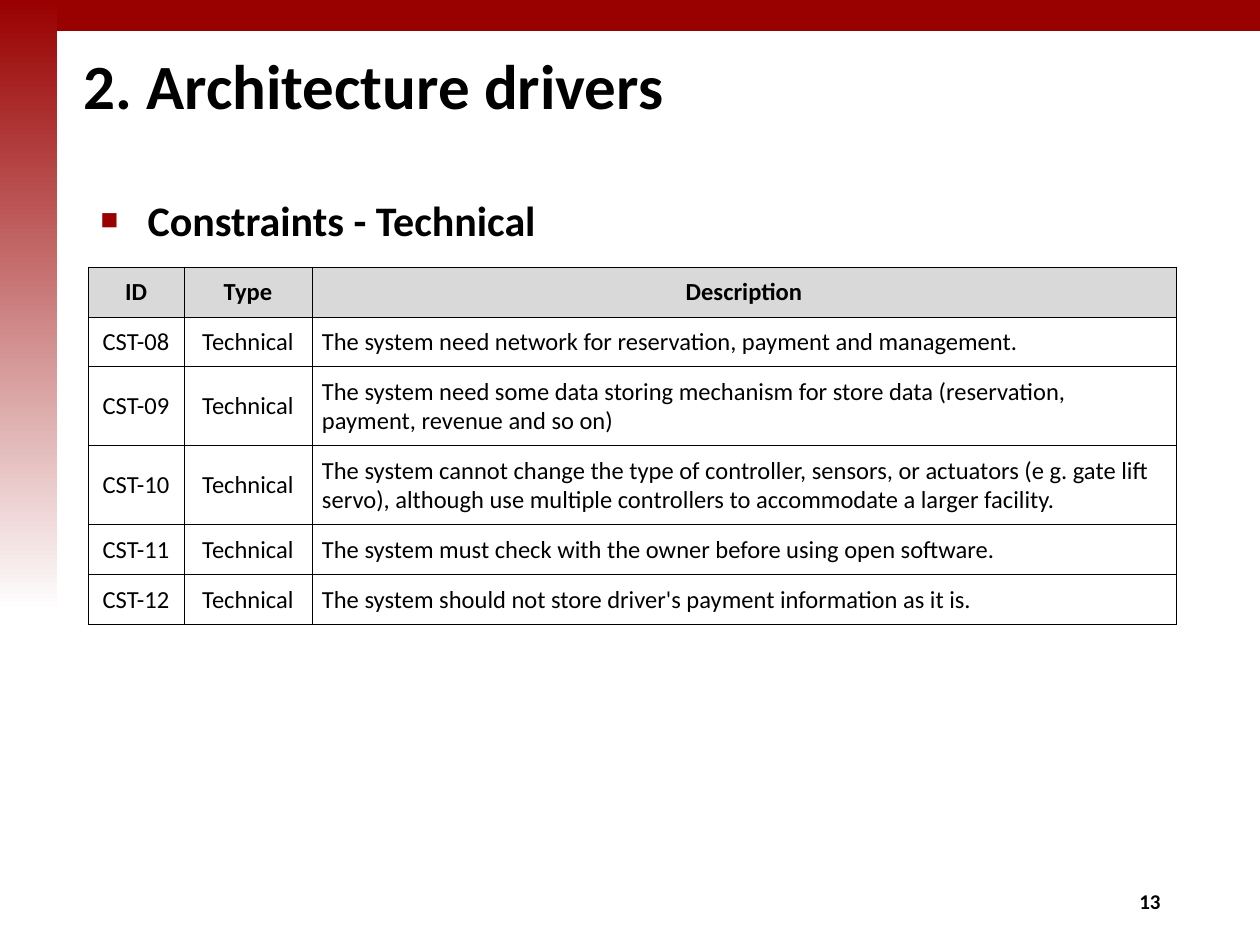
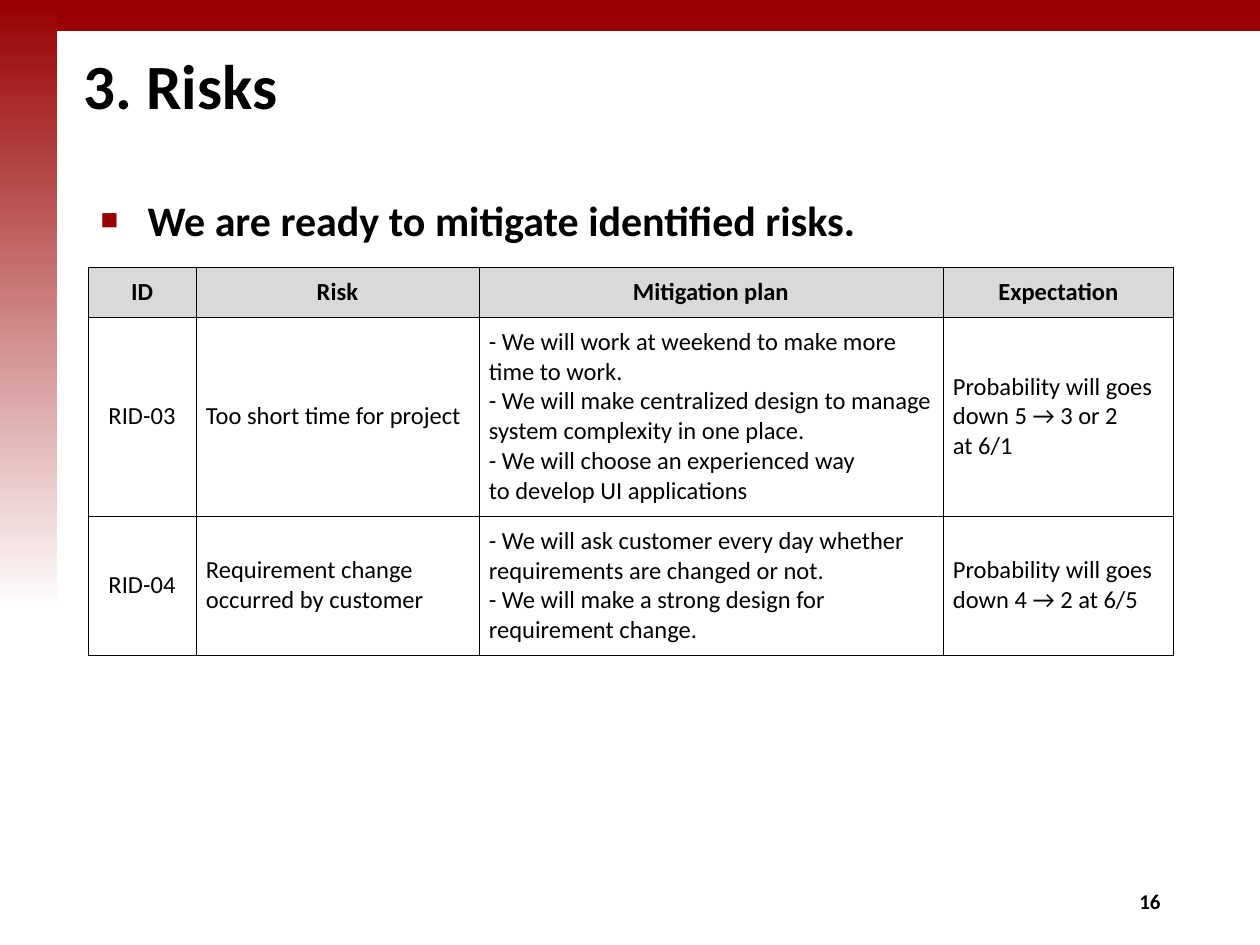
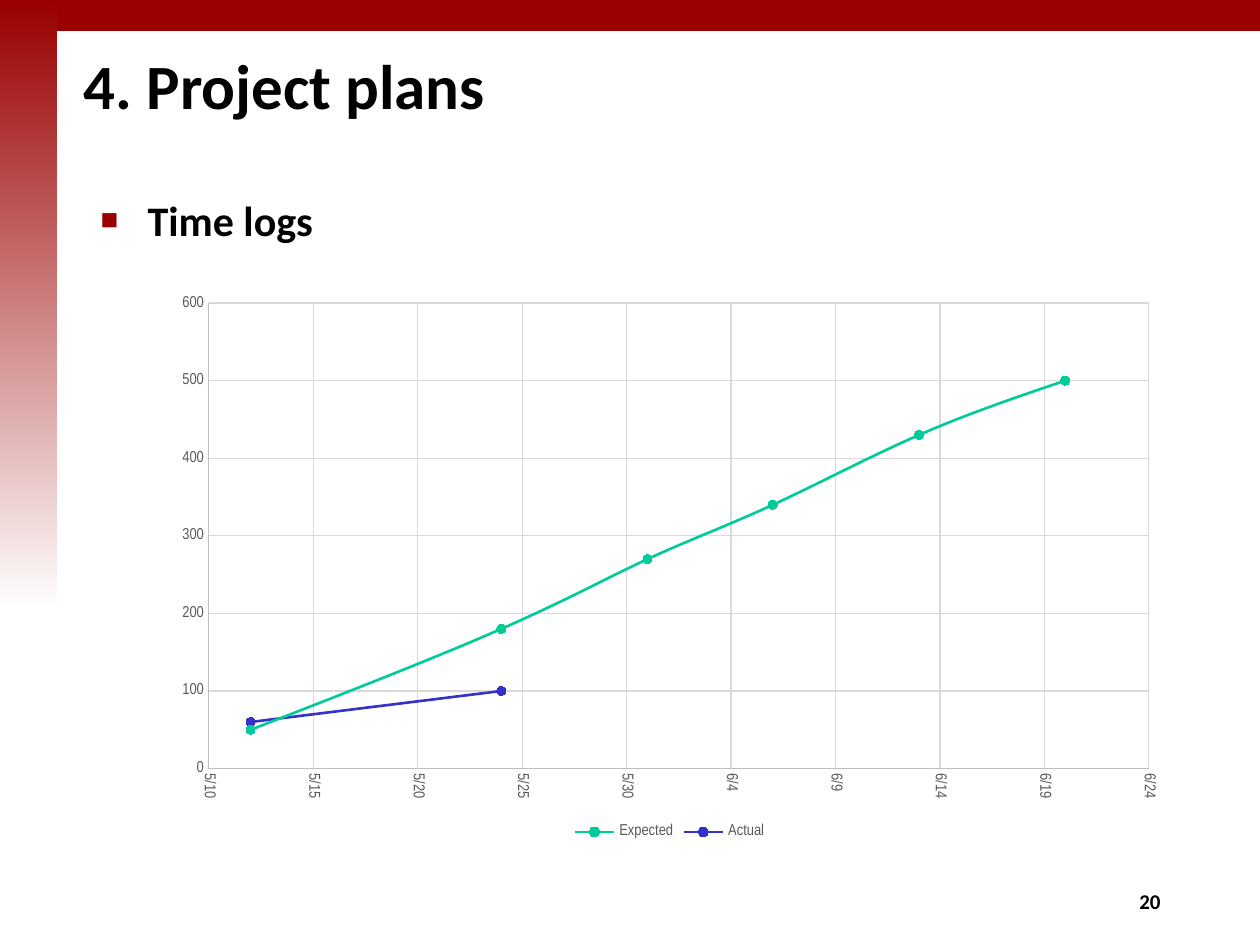
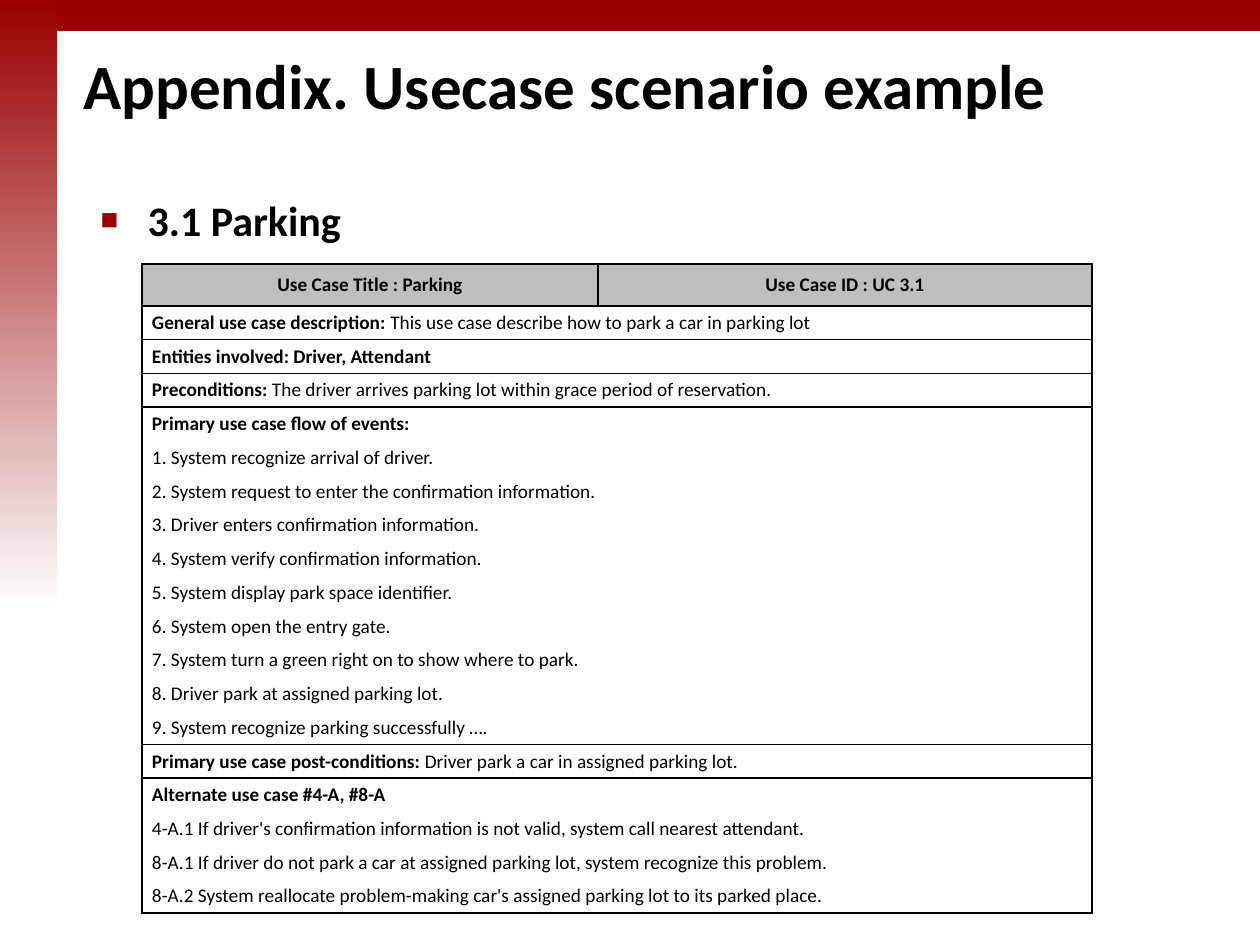
"""Build four project review slides with shared bands, titles, tables and a chart."""
from lxml.etree import SubElement
from pptx import Presentation
from pptx.chart.data import XyChartData
from pptx.dml.color import RGBColor
from pptx.enum.chart import XL_CHART_TYPE as ChartType, XL_LEGEND_POSITION as LegendSpot
from pptx.enum.chart import XL_MARKER_STYLE as Marker, XL_TICK_MARK as Tick
from pptx.enum.shapes import MSO_SHAPE as Preset
from pptx.enum.text import MSO_ANCHOR as Anchor, MSO_AUTO_SIZE as AutoSize, PP_ALIGN as Align
from pptx.oxml.ns import qn
from pptx.util import Emu, Pt

RED, BLACK, WHITE = "990000", "000000", "FFFFFF"
HEADER_GREY, USE_CASE_GREY = "D9D9D9", "BFBFBF"
AXIS_TEXT, AXIS_LINE, GRID_LINE = "595959", "BFBFBF", "D9D9D9"
BODY_FONT, CHART_FONT = "Calibri", "Arial Narrow"


def px(length):
    return Emu(round(length * 914400 / 126))


def rgb(code):
    return RGBColor.from_string(code)


def apply(target, **values):
    for key, value in values.items():
        setattr(target, key, value)


def place(target, left, top, width, height):
    apply(target, left=px(left), top=px(top), width=px(width), height=px(height))


def style_font(font, size, bold=False, color=BLACK, name=BODY_FONT):
    apply(font, size=Pt(size), bold=bold, name=name)
    font.color.rgb = rgb(color)


def style_line(line, color, width):
    line.color.rgb = rgb(color)
    line.width = Pt(width)


class Deck:
    """Holds the presentation, its shared style and the current slide."""

    def __init__(self):
        self.prs = Presentation()
        apply(self.prs, slide_width=px(1260), slide_height=px(945))
        self.slide = None

    def add_slide(self, title, heading, number=None):
        first = self.slide is None
        self.slide = self.prs.slides.add_slide(self.prs.slide_layouts[1])
        if first:
            self.add_master_bands()
        self.add_title(title)
        self.add_heading(heading)
        if number:
            self.add_page_number(number)

    def add_master_bands(self):
        top_band = self.add_band(1260, 31)
        top_band.fill.solid()
        top_band.fill.fore_color.rgb = rgb(RED)
        side_band = self.add_band(57, 612)
        side_band.fill.gradient()
        side_band.fill.gradient_angle = 270
        for stop, color, position in zip(side_band.fill.gradient_stops, (RED, WHITE), (0, 1)):
            stop.color.rgb = rgb(color)
            stop.position = position
        master_tree = self.prs.slide_master.shapes.element
        for index, band in enumerate((top_band, side_band), 2):
            master_tree.insert(index, band.element)

    def add_band(self, width, height):
        band = self.slide.shapes.add_shape(Preset.RECTANGLE, 0, 0, px(width), px(height))
        band.shadow.inherit = False
        band.line.fill.background()
        return band

    def write_placeholder(self, holder, text, size, indent, hanging=0):
        frame = holder.text_frame
        frame.text = text
        apply(frame, word_wrap=True, auto_size=AutoSize.NONE)
        paragraph = frame.paragraphs[0]
        apply(paragraph, alignment=Align.LEFT, space_before=Pt(0))
        props = paragraph._p.get_or_add_pPr()
        props.set("marL", str(px(indent)))
        props.set("indent", str(px(-hanging)))
        style_font(paragraph.runs[0].font, size, True)
        return props

    def add_title(self, text):
        title = self.slide.shapes.title
        place(title, 54, 32, 1206, 105)
        self.write_placeholder(title, text, 36, 17)
        title.text_frame.vertical_anchor = Anchor.MIDDLE

    def add_heading(self, text):
        body = self.slide.placeholders[1]
        place(body, 88, 188, 1088, 685)
        props = self.write_placeholder(body, text, 24, 47, 47)
        body.text_frame.vertical_anchor = Anchor.TOP
        SubElement(SubElement(props, qn("a:buClr")), qn("a:srgbClr"), val=RED)
        SubElement(props, qn("a:buSzPct"), val="70000")
        SubElement(props, qn("a:buFont"), typeface="Arial")
        SubElement(props, qn("a:buChar"), char="■")

    def add_page_number(self, number):
        box = self.slide.shapes.add_textbox(px(890), px(876), px(283), px(50))
        apply(box.text_frame, word_wrap=True, vertical_anchor=Anchor.MIDDLE)
        paragraph = box.text_frame.paragraphs[0]
        paragraph.alignment = Align.RIGHT
        run = paragraph.add_run()
        run.text = str(number)
        style_font(run.font, 12, True)

    def add_table(self, left, top, widths, heights, rows, size, centred, inset,
                  border, header_fill, body_fill=None, joined=(), text_right=10):
        """Draw a grid; rows in joined share one outlined block with the row above."""
        table = self.slide.shapes.add_table(
            len(rows), len(widths), px(left), px(top), px(sum(widths)), px(sum(heights))).table
        table.horz_banding = False
        for column, width in zip(table.columns, widths):
            column.width = px(width)
        for index, (row, height) in enumerate(zip(rows, heights)):
            table.rows[index].height = px(height)
            if len(row) < len(widths):
                table.cell(index, 0).merge(table.cell(index, len(widths) - 1))
            edges = "LR" + "T" * (index not in joined) + "B" * (index + 1 not in joined)
            fill = body_fill if index else header_fill
            for col in range(len(widths)):
                cell = table.cell(index, col)
                is_centred = index == 0 or col < centred
                apply(cell, vertical_anchor=Anchor.MIDDLE, margin_left=px(10),
                      margin_right=px(10 if is_centred else text_right),
                      margin_top=px(inset), margin_bottom=px(inset))
                self.fill_cell(cell, fill)
                self.outline_cell(cell, edges, border)
                if col < len(row):
                    text = row[col] if index else row[col] + "|"
                    self.write_cell(cell, text, size, Align.CENTER if is_centred else Align.LEFT)

    def fill_cell(self, cell, color):
        if color:
            cell.fill.solid()
            cell.fill.fore_color.rgb = rgb(color)
        else:
            cell.fill.background()

    def outline_cell(self, cell, edges, width):
        props = cell._tc.get_or_add_tcPr()
        for index, edge in enumerate("LRTB"):
            line = SubElement(props, qn(f"a:ln{edge}"), w=str(Pt(width)))
            if edge in edges:
                SubElement(SubElement(line, qn("a:solidFill")), qn("a:srgbClr"), val=BLACK)
            else:
                SubElement(line, qn("a:noFill"))
            props.insert(index, line)

    def write_cell(self, cell, text, size, align):
        """Write paragraphs split by newline, line breaks by \\v, bold lead before a bar."""
        frame = cell.text_frame
        for index, content in enumerate(text.split("\n")):
            paragraph = frame.add_paragraph() if index else frame.paragraphs[0]
            paragraph.alignment = align
            for number, line in enumerate(content.split("\v")):
                if number:
                    paragraph.add_line_break()
                lead, _, rest = line.rpartition("|")
                for part, bold in ((lead, True), (rest, False)):
                    if part:
                        run = paragraph.add_run()
                        run.text = part
                        style_font(run.font, size, bold)
            for line_break in paragraph._p.iter(qn("a:br")):
                SubElement(line_break, qn("a:rPr"), sz=str(size * 100))

    def add_smooth_chart(self, box, series, x_axis, y_axis):
        data = XyChartData()
        for name, _, points in series:
            entry = data.add_series(name)
            for x, y in points:
                entry.add_data_point(x, y)
        chart = self.slide.shapes.add_chart(
            ChartType.XY_SCATTER_SMOOTH, *map(px, box), data).chart
        apply(chart, has_title=False, has_legend=True)
        style_font(chart.font, 10, name=CHART_FONT)
        apply(chart.legend, position=LegendSpot.BOTTOM, include_in_layout=False)
        style_font(chart.legend.font, 9, color=AXIS_TEXT, name=CHART_FONT)
        plot = chart.plots[0]
        plot.vary_by_categories = False
        for drawn, (_, color, _) in zip(plot.series, series):
            drawn._element.find(qn("c:smooth")).set("val", "1")
            style_line(drawn.format.line, color, 1.5)
            apply(drawn.marker, style=Marker.CIRCLE, size=5)
            drawn.marker.format.fill.solid()
            drawn.marker.format.fill.fore_color.rgb = rgb(color)
            style_line(drawn.marker.format.line, color, 0.75)
        self.style_axis(chart.category_axis, *x_axis)
        self.style_axis(chart.value_axis, *y_axis)
        labels = chart.category_axis._element.find(qn("c:txPr")).find(qn("a:bodyPr"))
        labels.set("rot", "5400000")
        labels.set("vert", "horz")

    def style_axis(self, axis, low, high, step, number_format):
        apply(axis, minimum_scale=low, maximum_scale=high, major_unit=step,
              has_major_gridlines=True, major_tick_mark=Tick.NONE, minor_tick_mark=Tick.NONE)
        apply(axis.tick_labels, number_format=number_format, number_format_is_linked=False)
        style_font(axis.tick_labels.font, 9, color=AXIS_TEXT, name=CHART_FONT)
        style_line(axis.format.line, AXIS_LINE, 0.75)
        style_line(axis.major_gridlines.format.line, GRID_LINE, 0.75)


GRID_STYLE = dict(left=88, top=267, size=14, inset=10, border=0.5, header_fill=HEADER_GREY)

CONSTRAINTS = [
    "The system need network for reservation, payment and management.",
    "The system need some data storing mechanism for store data (reservation, "
    "payment, revenue and so on)",
    "The system cannot change the type of controller, sensors, or actuators (e g. gate lift\n"
    "servo), although use multiple controllers to accommodate a larger facility.",
    "The system must check with the owner before using open software.",
    "The system should not store driver's payment information as it is.",
]

RISKS = [
    ("ID", "Risk", "Mitigation plan", "Expectation"),
    ("RID-03", "Too short time for project",
     "- We will work at weekend to make more time to work.\n"
     "- We will make centralized design to manage system complexity in one place.\n"
     "- We will choose an experienced way\vto develop UI applications",
     "Probability will goes down 5 → 3 or 2\vat 6/1"),
    ("RID-04", "Requirement change\noccurred by customer",
     "- We will ask customer every day whether\vrequirements are changed or not.\n"
     "- We will make a strong design for\vrequirement change.",
     "Probability will goes down 4 → 2 at 6/5"),
]

MAY_10 = 42865
LOG_DAYS = [MAY_10 + offset for offset in (2, 14, 21, 27, 34, 41)]
TIME_LOGS = [
    ("Expected", "00CC99", list(zip(LOG_DAYS, (50, 180, 270, 340, 430, 500)))),
    ("Actual", "3333CC", list(zip(LOG_DAYS, (60, 100)))),
]

USE_CASE = [
    ("Use Case Title : Parking", "Use Case ID : UC 3.1"),
    ("General use case description: |This use case describe how to park a car in parking lot",),
    ("Entities involved: Driver, Attendant|",),
    ("Preconditions: |The driver arrives parking lot within grace period of reservation.",),
    ("Primary use case flow of events:|",),
    ("1. System recognize arrival of driver.",),
    ("2. System request to enter the confirmation information.",),
    ("3. Driver enters confirmation information.",),
    ("4. System verify confirmation information.",),
    ("5. System display park space identifier.",),
    ("6. System open the entry gate.",),
    ("7. System turn a green right on to show where to park.",),
    ("8. Driver park at assigned parking lot.",),
    ("9. System recognize parking successfully ….",),
    ("Primary use case post-conditions: |Driver park a car in assigned parking lot.",),
    ("Alternate use case #4-A, #8-A|",),
    ("4-A.1 If driver's confirmation information is not valid, system call nearest attendant.",),
    ("8-A.1 If driver do not park a car at assigned parking lot, system recognize this problem.",),
    ("8-A.2 System reallocate problem-making car's assigned parking lot to its parked place.",),
]


def main():
    deck = Deck()

    deck.add_slide("2. Architecture drivers", "Constraints - Technical", 13)
    constraints = [("ID", "Type", "Description")] + [
        (f"CST-{number:02}", "Technical", text) for number, text in enumerate(CONSTRAINTS, 8)]
    deck.add_table(widths=(96, 128, 864), heights=(50, 50, 79, 79, 50, 50),
                   rows=constraints, centred=2, text_right=14, **GRID_STYLE)

    deck.add_slide("3. Risks", "We are ready to mitigate identified risks.", 16)
    deck.add_table(widths=(108, 283, 464, 231), heights=(50, 199, 139),
                   rows=RISKS, centred=1, **GRID_STYLE)

    deck.add_slide("4. Project plans", "Time logs", 20)
    deck.add_smooth_chart((162, 284, 1015, 561), TIME_LOGS,
                          (MAY_10, MAY_10 + 45, 5, "m/d"), (0, 600, 100, "General"))

    deck.add_slide("Appendix. Usecase scenario example", "3.1 Parking")
    steps = {index for index, row in enumerate(USE_CASE) if index and "|" not in row[0]}
    deck.add_table(left=142, top=264, widths=(456, 494), heights=[42] + [28] * (len(USE_CASE) - 1),
                   rows=USE_CASE, size=11, centred=0, inset=5, border=1,
                   header_fill=USE_CASE_GREY, body_fill=WHITE, joined=steps)

    deck.prs.save("out.pptx")


if __name__ == "__main__":
    main()
